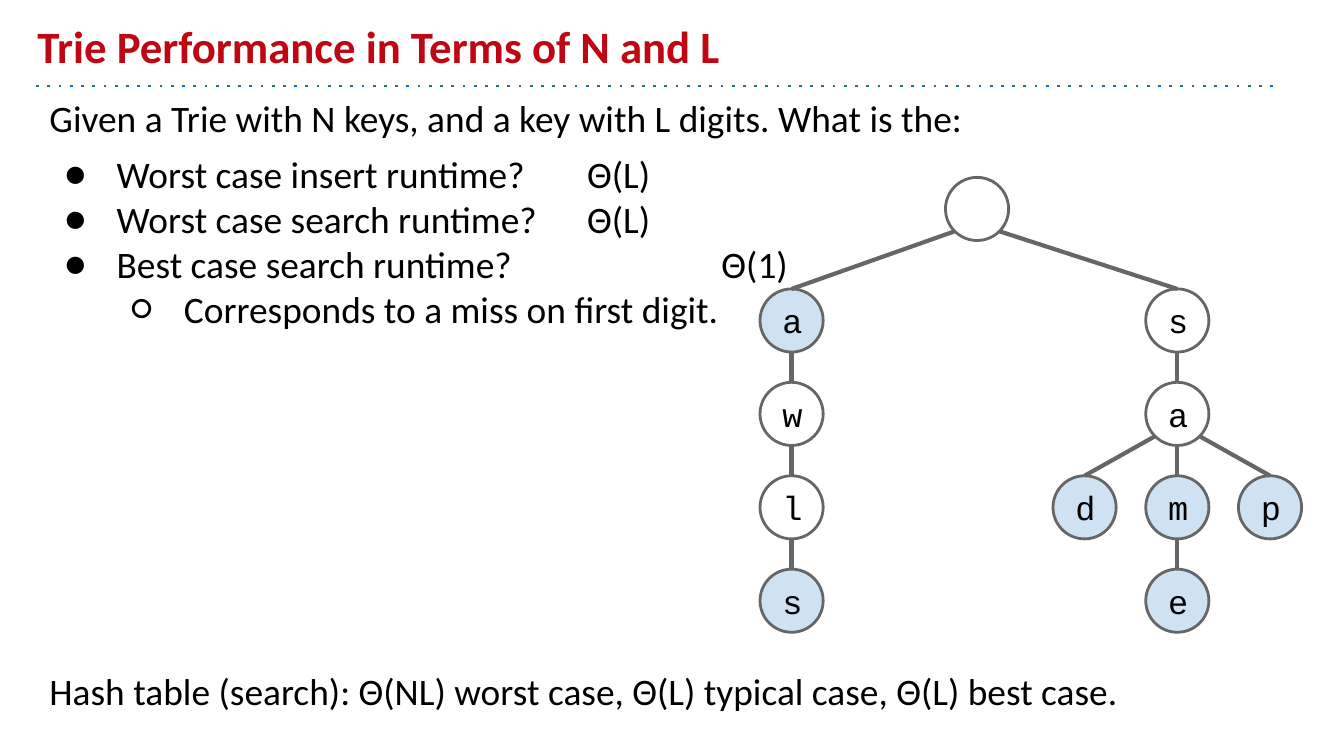
from lxml import etree
from pptx import Presentation
from pptx.dml.color import RGBColor
from pptx.enum.shapes import MSO_CONNECTOR, MSO_SHAPE
from pptx.enum.text import MSO_ANCHOR, PP_ALIGN
from pptx.oxml.ns import qn
from pptx.util import Inches, Pt

ELLIPSE = MSO_SHAPE.OVAL
STRAIGHT = MSO_CONNECTOR.STRAIGHT
MIDDLE, BOTTOM = MSO_ANCHOR.MIDDLE, MSO_ANCHOR.BOTTOM
CENTER = PP_ALIGN.CENTER

BLACK = RGBColor(0x00, 0x00, 0x00)
WHITE = RGBColor(0xFF, 0xFF, 0xFF)
RED = RGBColor(0xBE, 0x07, 0x12)
BLUE = RGBColor(0x10, 0x72, 0xBD)
GRAY = RGBColor(0x66, 0x66, 0x66)
KEY_BLUE = RGBColor(0xCF, 0xE2, 0xF3)

# Trie layout: node diameter, row and column pitch, and column centres
NODE = 0.47
ROW_TOP, ROW_STEP = 2.15, 0.695
LEFT, ROOT, RIGHT, COL_STEP = 5.89, 7.27, 8.76, 0.69
DIAGONAL = NODE / 2 * 0.5 ** 0.5


def set_margins(tf):
    tf.margin_left = tf.margin_right = Inches(0.1)
    tf.margin_top = tf.margin_bottom = Inches(0.1)
    tf.word_wrap = True


def format_text(p, size, color=BLACK, font="Calibri", bold=False):
    for r in p.runs:
        r.font.name = font
        r.font.size = Pt(size)
        r.font.bold = bold
        r.font.color.rgb = color


def add_text(s, x, y, w, h, text):
    tf = s.shapes.add_textbox(Inches(x), Inches(y), Inches(w), Inches(h)).text_frame
    set_margins(tf)
    tf.text = text
    return tf


def add_bullet(tf, text, char, level=0, space_before=0):
    p = tf.add_paragraph()
    p.text = text
    p.level = level
    p.space_before = Pt(space_before)
    format_text(p, 20)
    pPr = p._p.get_or_add_pPr()
    pPr.set("marL", str(Inches(0.5 * (level + 1))))
    pPr.set("indent", str(Inches(-0.39)))
    pPr.set("defTabSz", str(Inches(1)))
    color = etree.SubElement(pPr, qn("a:buClr"))
    etree.SubElement(color, qn("a:srgbClr")).set("val", str(BLACK))
    etree.SubElement(pPr, qn("a:buSzPts")).set("val", "2000")
    etree.SubElement(pPr, qn("a:buFont")).set("typeface", "Calibri")
    etree.SubElement(pPr, qn("a:buChar")).set("char", char)


def add_line(s, start, end, color, width, dash=None):
    x1, y1, x2, y2 = (Inches(v) for v in (*start, *end))
    line = s.shapes.add_connector(STRAIGHT, x1, y1, x2, y2)
    line.line.color.rgb = color
    line.line.width = Pt(width)
    if dash:
        etree.SubElement(line.line._get_or_add_ln(), qn("a:prstDash")).set("val", dash)
    etree.SubElement(line._element.spPr, qn("a:effectLst"))


def add_node(s, center, top, letter, is_key):
    sp = s.shapes.add_shape(ELLIPSE, Inches(center - NODE / 2), Inches(top),
                            Inches(NODE), Inches(NODE))
    sp.shadow.inherit = False
    sp.fill.solid()
    sp.fill.fore_color.rgb = KEY_BLUE if is_key else WHITE
    sp.line.color.rgb = GRAY
    sp.line.width = Pt(1.5)
    if letter:
        tf = sp.text_frame
        set_margins(tf)
        tf.vertical_anchor = MIDDLE
        tf.text = letter
        tf.paragraphs[0].alignment = CENTER
        format_text(tf.paragraphs[0], 18, font="Courier New")


def add_edge(s, parent, child):
    # Leave from the bottom, or from the lower diagonal towards a side child
    (px, py), (cx, cy) = parent, child
    side = (cx > px) - (cx < px)
    drop = DIAGONAL if side else NODE / 2
    start = (px + side * DIAGONAL, py + NODE / 2 + drop)
    add_line(s, start, (cx, cy), GRAY, 2.25)


def add_trie(s):
    # Prefix -> column centre, is key; the depth gives the row
    nodes = {
        "": (ROOT, False),
        "s": (RIGHT, False),
        "sa": (RIGHT, False),
        "sam": (RIGHT, True),
        "sad": (RIGHT - COL_STEP, True),
        "sap": (RIGHT + COL_STEP, True),
        "same": (RIGHT, True),
        "a": (LEFT, True),
        "aw": (LEFT, False),
        "awl": (LEFT, False),
        "awls": (LEFT, True),
    }
    spots = {prefix: (x, ROW_TOP + ROW_STEP * (len(prefix) - 1) if prefix else 1.32)
             for prefix, (x, _) in nodes.items()}
    for prefix, (_, is_key) in nodes.items():
        add_node(s, *spots[prefix], prefix[-1:], is_key)
    for prefix in nodes:
        if prefix:
            add_edge(s, spots[prefix[:-1]], spots[prefix])


def main():
    prs = Presentation()
    # A 16:9 page
    prs.slide_width = Inches(10)
    prs.slide_height = Inches(10 * 9 / 16)
    s = prs.slides.add_slide(prs.slide_layouts[6])

    # Title and rule
    add_line(s, (0.27, 0.64), (9.5, 0.64), BLUE, 1.5, "dot")
    tf = add_text(s, 0.18, 0.1, 9, 0.54, "Trie Performance in Terms of N and L")
    tf.vertical_anchor = BOTTOM
    format_text(tf.paragraphs[0], 24, RED, bold=True)

    # Questions and answers
    tf = add_text(s, 0.27, 0.61, 9.73, 2,
                  "Given a Trie with N keys, and a key with L digits. What is the:")
    format_text(tf.paragraphs[0], 20)
    add_bullet(tf, "Worst case insert runtime?\tΘ(L)", "●", space_before=6)
    add_bullet(tf, "Worst case search runtime?\tΘ(L)", "●")
    add_bullet(tf, "Best case search runtime?\t\tΘ(1)", "●")
    add_bullet(tf, "Corresponds to a miss on first digit.", "○", level=1)

    # Hash table comparison
    tf = add_text(s, 0.27, 4.87, 9.73, 0.54,
                  "Hash table (search): Θ(NL) worst case, Θ(L) typical case, Θ(L) best case.")
    format_text(tf.paragraphs[0], 20)

    add_trie(s)
    prs.save("out.pptx")


main()
